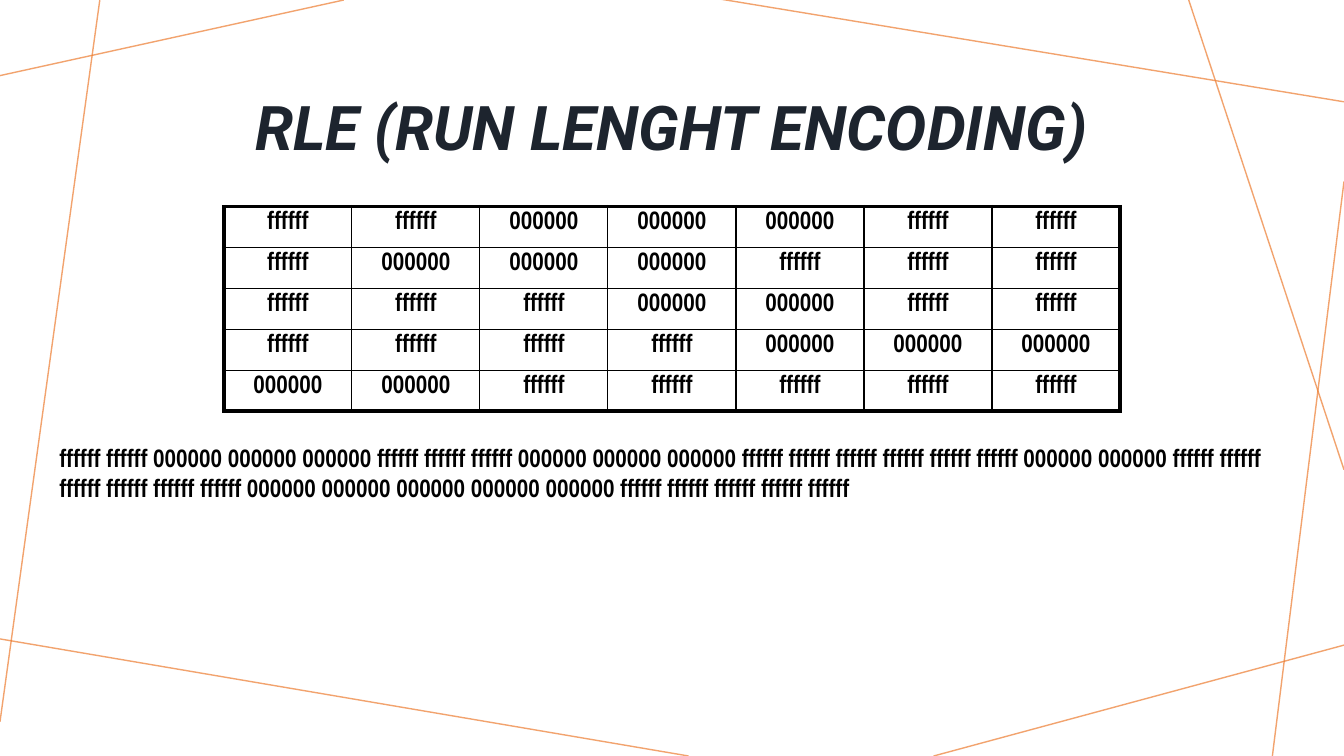
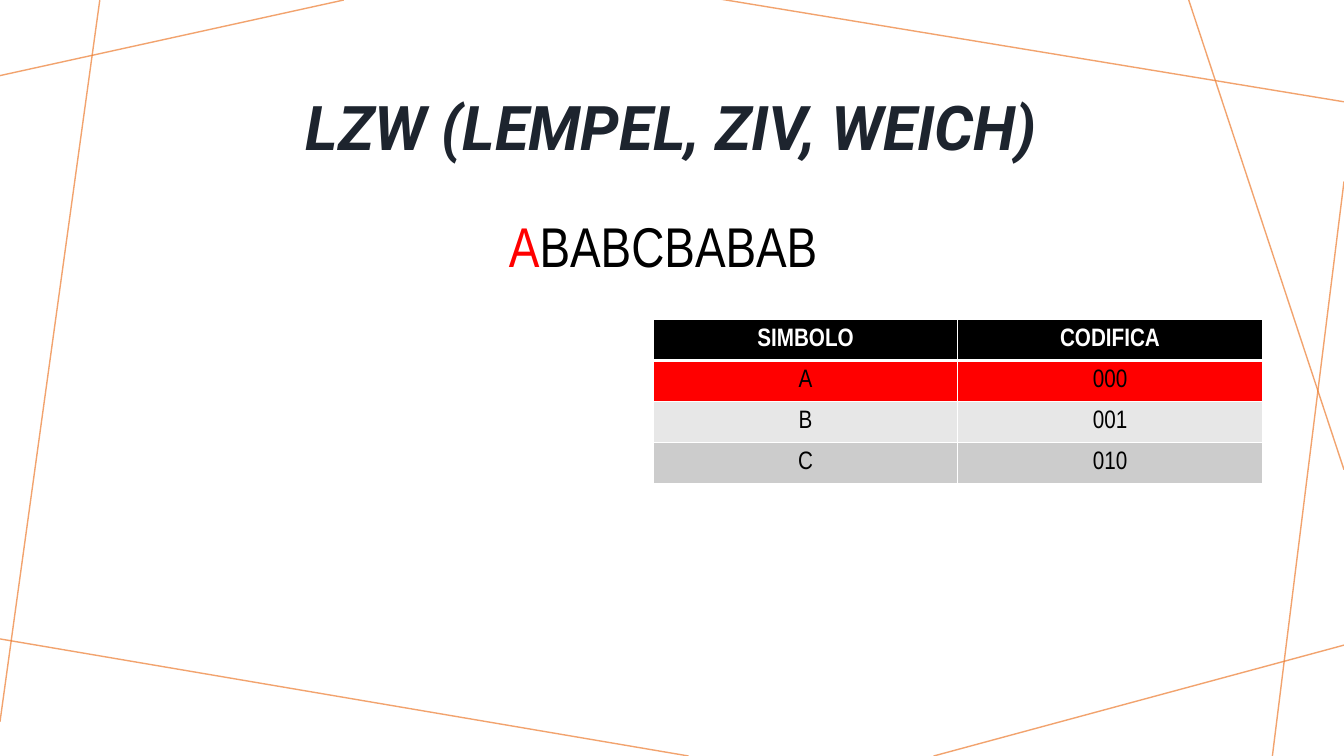
from lxml.etree import SubElement
from pptx import Presentation
from pptx.dml.color import RGBColor
from pptx.enum.shapes import MSO_CONNECTOR
from pptx.enum.text import MSO_ANCHOR, PP_ALIGN
from pptx.oxml.ns import qn
from pptx.util import Inches, Pt

ORANGE = RGBColor(0xED, 0x7D, 0x31)
NAVY = RGBColor(0x1D, 0x24, 0x2E)
BLACK = RGBColor(0x00, 0x00, 0x00)
WHITE = RGBColor(0xFF, 0xFF, 0xFF)
RED = RGBColor(0xFF, 0x00, 0x00)
PALE_GREY = RGBColor(0xE7, 0xE7, 0xE7)
MID_GREY = RGBColor(0xCC, 0xCC, 0xCC)

TITLE_FONT = "Roboto"
TEXT_FONT = "Arial Narrow"
TITLE_ONLY = 5
ROW_HEIGHT = 0.406
THIN, THICK = 1, 3

BACKGROUND_LINES = [
    ((3.41, 0), (0, 0.75)),
    ((0.99, 0), (0, 7.16)),
    ((6.83, 7.5), (-0.05, 6.33)),
    ((13.33, 6.4), (9.26, 7.5)),
    ((13.33, 1.8), (12.62, 7.5)),
    ((13.33, 4.66), (11.79, 0)),
    ((13.33, 1.01), (7.14, -0.01)),
]

RLE_TITLE = "RLE (RUN LENGHT ENCODING)"
PIXELS = [
    ["ffffff", "ffffff", "000000", "000000", "000000", "ffffff", "ffffff"],
    ["ffffff", "000000", "000000", "000000", "ffffff", "ffffff", "ffffff"],
    ["ffffff", "ffffff", "ffffff", "000000", "000000", "ffffff", "ffffff"],
    ["ffffff", "ffffff", "ffffff", "ffffff", "000000", "000000", "000000"],
    ["000000", "000000", "ffffff", "ffffff", "ffffff", "ffffff", "ffffff"],
]

LZW_TITLE = "LZW (LEMPEL, ZIV, WEICH)"
SEQUENCE = [("A", RED), ("BABCBABAB", BLACK)]
CODES = [["SIMBOLO", "CODIFICA"], ["A", "000"], ["B", "001"], ["C", "010"]]
CODE_FILLS = [BLACK, RED, PALE_GREY, MID_GREY]


def draw_background(slide, master):
    """Draw the lines on a slide, then move them to the master."""
    for number, (start, end) in enumerate(BACKGROUND_LINES):
        connector = slide.shapes.add_connector(
            MSO_CONNECTOR.STRAIGHT, *map(Inches, start + end))
        connector.line.color.rgb = ORANGE
        connector.line.width = Pt(1)
        element = connector.element
        color = next(element.iter(qn("a:srgbClr")))
        SubElement(color, qn("a:alpha"), val="70000")
        SubElement(element.spPr, qn("a:effectLst"))
        element.nvCxnSpPr.cNvPr.set("id", str(100 + number))
        master.shapes.element.append(element)


def add_titled_slide(presentation, title):
    slide = presentation.slides.add_slide(presentation.slide_layouts[TITLE_ONLY])
    slide.shapes.title.text = title
    paragraph = slide.shapes.title.text_frame.paragraphs[0]
    paragraph.alignment = PP_ALIGN.CENTER
    paragraph.line_spacing = 0.9
    set_font(paragraph.font, 44, NAVY, bold=True, name=TITLE_FONT)
    paragraph.font.italic = True
    return slide


def set_font(font, size, color, bold=False, name=TEXT_FONT):
    font.name = name
    font.size = Pt(size)
    font.bold = bold
    font.color.rgb = color


def add_text(slide, left, top, width, height):
    """Add a wrapping text box and return its first paragraph."""
    box = slide.shapes.add_textbox(*map(Inches, (left, top, width, height)))
    box.text_frame.word_wrap = True
    return box.text_frame.paragraphs[0]


def set_borders(cell, color, left, right, top, bottom):
    properties = cell._tc.get_or_add_tcPr()
    for side, width in zip("LRTB", (left, right, top, bottom)):
        line = SubElement(properties, qn(f"a:ln{side}"), w=str(Pt(width)))
        fill = SubElement(line, qn("a:solidFill"))
        SubElement(fill, qn("a:srgbClr"), val=str(color))


def add_grid(slide, left, top, width, rows):
    """Add a table of equal columns without the banded style."""
    table = slide.shapes.add_table(
        len(rows), len(rows[0]), Inches(left), Inches(top),
        Inches(width), Inches(ROW_HEIGHT * len(rows))).table
    table.first_row = table.horz_banding = False
    return table


def fill_cell(cell, text, fill, color, bold):
    cell.fill.solid()
    cell.fill.fore_color.rgb = fill
    cell.text = text
    paragraph = cell.text_frame.paragraphs[0]
    paragraph.alignment = PP_ALIGN.CENTER
    set_font(paragraph.font, 18, color, bold)


def add_pixel_table(slide):
    table = add_grid(slide, 2.22, 2.05, 8.89, PIXELS)
    last_row, last_column = len(PIXELS) - 1, len(PIXELS[0]) - 1
    for i, row in enumerate(PIXELS):
        for j, pixel in enumerate(row):
            cell = table.cell(i, j)
            at_edge = (j == 0, j == last_column, i == 0, i == last_row)
            set_borders(cell, BLACK, *(THICK if edge else THIN for edge in at_edge))
            fill_cell(cell, pixel, WHITE, BLACK, bold=True)


def add_code_table(slide):
    table = add_grid(slide, 6.48, 3.17, 6.04, CODES)
    for i, (row, fill) in enumerate(zip(CODES, CODE_FILLS)):
        is_header = i == 0
        for j, text in enumerate(row):
            cell = table.cell(i, j)
            set_borders(cell, WHITE, THIN, THIN, THICK if i == 1 else THIN,
                        THICK if is_header else THIN)
            fill_cell(cell, text, fill, WHITE if is_header else BLACK, is_header)
            cell.vertical_anchor = MSO_ANCHOR.MIDDLE


def main():
    presentation = Presentation()
    presentation.slide_width = Inches(13.33)
    presentation.slide_height = Inches(7.5)
    title = presentation.slide_layouts[TITLE_ONLY].placeholders[0]
    title.left, title.top = Inches(1.25), Inches(0.54)
    title.width, title.height = Inches(10.83), Inches(1.51)

    rle_slide = add_titled_slide(presentation, RLE_TITLE)
    draw_background(rle_slide, presentation.slide_master)
    add_pixel_table(rle_slide)
    paragraph = add_text(rle_slide, 0.49, 4.34, 12.36, 2.22)
    paragraph.text = " ".join(pixel for row in PIXELS for pixel in row)
    set_font(paragraph.font, 18, BLACK, bold=True)

    lzw_slide = add_titled_slide(presentation, LZW_TITLE)
    paragraph = add_text(lzw_slide, 4.95, 2.05, 3.44, 0.77)
    for text, color in SEQUENCE:
        run = paragraph.add_run()
        run.text = text
        set_font(run.font, 40, color)
    add_code_table(lzw_slide)

    presentation.save("out.pptx")


if __name__ == "__main__":
    main()
